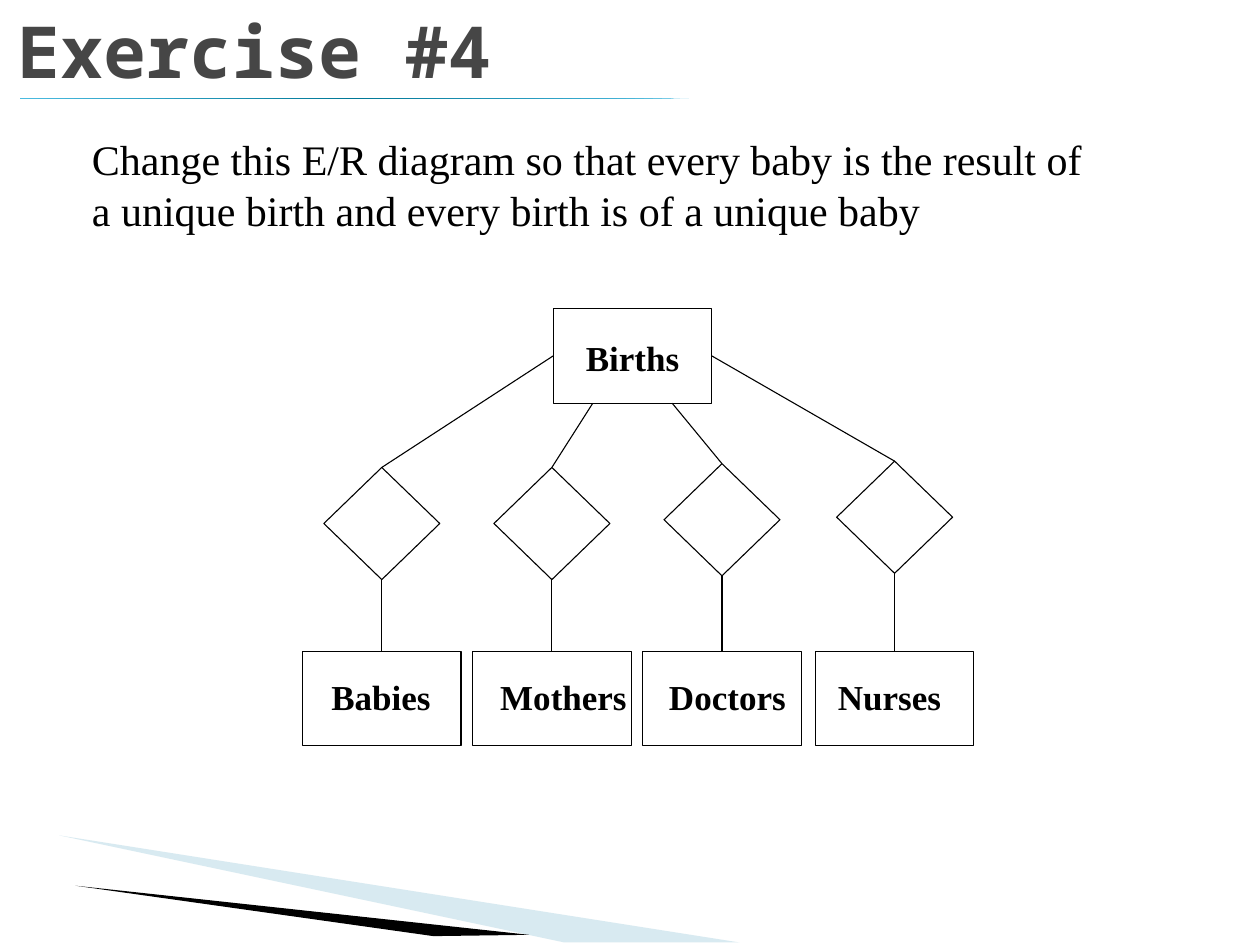
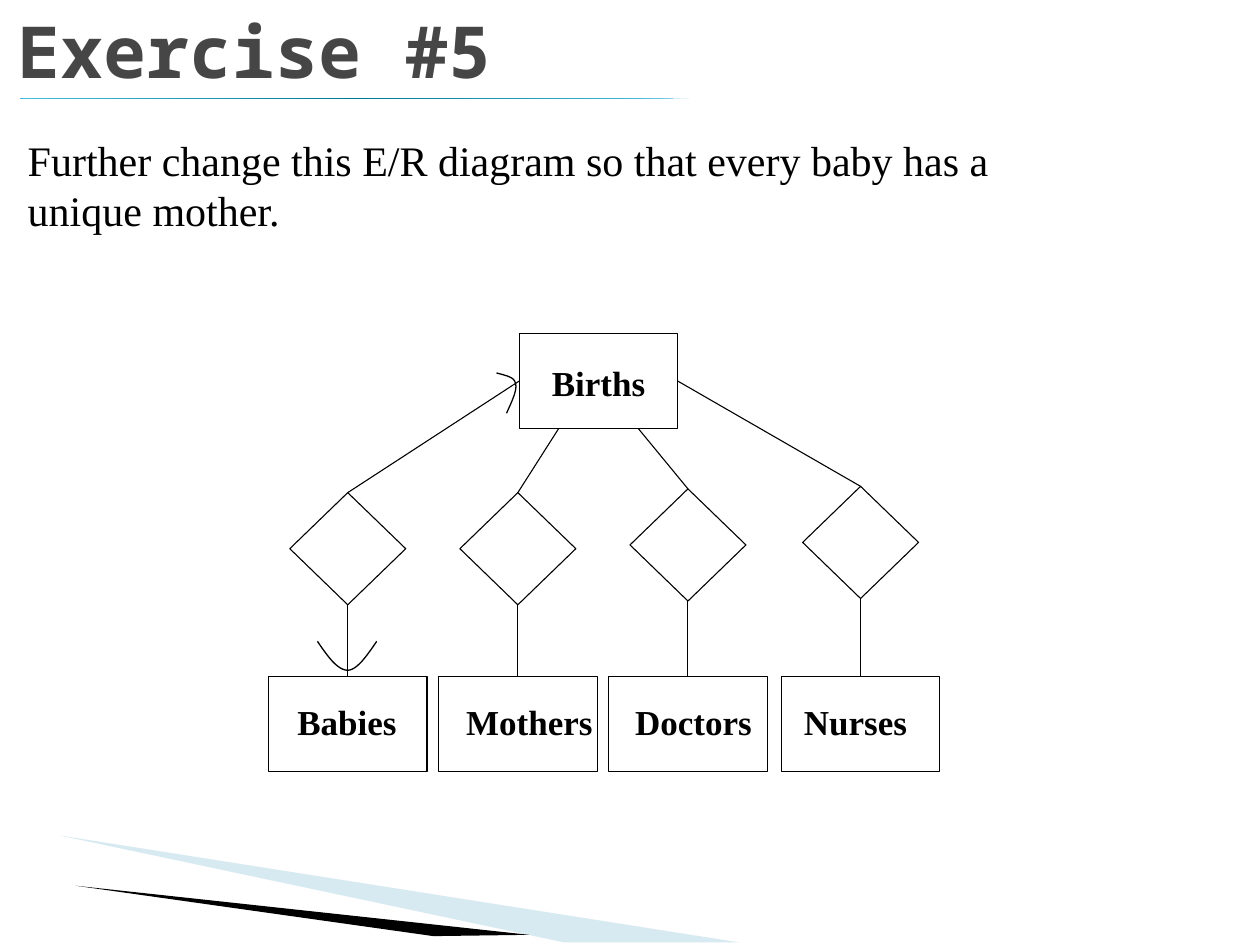
from dataclasses import dataclass
from typing import Optional

from lxml import etree
from pptx import Presentation
from pptx.dml.color import RGBColor
from pptx.enum.shapes import MSO_CONNECTOR, MSO_SHAPE
from pptx.enum.text import MSO_ANCHOR, MSO_AUTO_SIZE, PP_ALIGN
from pptx.oxml.ns import qn
from pptx.util import Inches, Pt

RECTANGLE, DIAMOND = MSO_SHAPE.RECTANGLE, MSO_SHAPE.DIAMOND
RIGHT_TRIANGLE = MSO_SHAPE.RIGHT_TRIANGLE
STRAIGHT = MSO_CONNECTOR.STRAIGHT
TOP, LEFT, BOTTOM, RIGHT = range(4)

Point = tuple[float, float]


@dataclass(frozen=True)
class Theme:
    title_font: str = "Noto Sans Mono"
    text_font: str = "Times New Roman"
    title_size: Pt = Pt(41)
    body_size: Pt = Pt(24)
    label_size: Pt = Pt(20)
    line_width: Pt = Pt(0.62)
    arc_width: Pt = Pt(0.75)
    title_color: RGBColor = RGBColor(0x46, 0x46, 0x46)
    ink: RGBColor = RGBColor(0, 0, 0)
    paper: RGBColor = RGBColor(0xFF, 0xFF, 0xFF)
    pale_band: RGBColor = RGBColor(0x9F, 0xCB, 0xDC)
    rule_stops: tuple = ((0, "4ABBE0"), (50, "007897"), (100, "4ABBE0"))


@dataclass(frozen=True)
class Entity:
    """A labelled box; its place is relative to the diagram's origin."""
    name: str
    left: float
    top: float
    label_left: float
    label_top: float
    label_width: float


@dataclass(frozen=True)
class Branch:
    """An entity tied to Births by a relationship diamond."""
    entity: Entity
    diamond_top: float
    births_side: Optional[int] = None
    births_fraction: float = 0


@dataclass(frozen=True)
class Exercise:
    title: str
    lines: tuple[str, ...]
    body_box: tuple[float, float, float, float]
    origin: Point
    arcs: tuple[tuple[Point, ...], ...] = ()


THEME = Theme()
BOX_WIDTH, BOX_HEIGHT = 1.26, 0.75
DIAMOND_WIDTH, DIAMOND_HEIGHT = 0.92, 0.89
LABEL_HEIGHT = 0.33
ROW_TOP, ROW_LABEL = 2.72, 0.19

BIRTHS = Entity("Births", 1.99, 0, 0.26, 0.22, 0.8)
BRANCHES = (
    Branch(Entity("Babies", 0, ROW_TOP, 0.23, ROW_LABEL, 0.83), 1.26, births_side=LEFT),
    Branch(Entity("Mothers", 1.35, ROW_TOP, 0.22, ROW_LABEL, 1.04), 1.26, births_fraction=0.25),
    Branch(Entity("Doctors", 2.7, ROW_TOP, 0.21, ROW_LABEL, 0.97), 1.23, births_fraction=0.75),
    Branch(Entity("Nurses", 4.07, ROW_TOP, 0.18, ROW_LABEL, 0.86), 1.21, births_side=RIGHT),
)

EXERCISES = (
    Exercise(
        "Exercise #4",
        ("Change this E/R diagram so that every baby is the result of",
         "a unique birth and every birth is of a unique baby"),
        (0.63, 1.09, 8.74, 0.74),
        (2.4, 2.45),
    ),
    Exercise(
        "Exercise #5",
        ("Further change this E/R diagram so that every baby has a",
         "unique mother."),
        (0.12, 0.52, 8.74, 1.89),
        (2.13, 2.65),
        arcs=(
            ((3.94, 2.96), (4.01, 2.98), (4.08, 2.99), (4.09, 3.04),
             (4.11, 3.09), (4.06, 3.19), (4.02, 3.28)),
            ((2.52, 5.09), (2.6, 5.21), (2.68, 5.32), (2.76, 5.32),
             (2.83, 5.32), (2.91, 5.21), (2.99, 5.09)),
        ),
    ),
)


def place(shape, left: float, top: float, width: float, height: float) -> None:
    shape.left, shape.top = Inches(left), Inches(top)
    shape.width, shape.height = Inches(width), Inches(height)


def set_font(paragraph, name: str, size: Pt, color: RGBColor, bold: bool = False) -> None:
    font = paragraph.font
    font.name, font.size, font.bold = name, size, bold
    font.color.rgb = color


def add_outline(slide, points: list[Point], close: bool):
    """Draw straight segments through points given in inches."""
    corners = [(Inches(x), Inches(y)) for x, y in points]
    builder = slide.shapes.build_freeform(*corners[0])
    builder.add_line_segments(corners[1:], close=close)
    shape = builder.convert_to_shape()
    shape.shadow.inherit = False
    return shape


def add_band(slide, points: list[Point], color: RGBColor, opacity: int = 100) -> None:
    band = add_outline(slide, points, close=True)
    band.fill.solid()
    band.fill.fore_color.rgb = color
    band.line.fill.background()
    if opacity < 100:
        color_element = band._element.spPr.find(f"{qn('a:solidFill')}/{qn('a:srgbClr')}")
        etree.SubElement(color_element, qn("a:alpha"), val=str(opacity * 1000))


def add_title_rule(slide) -> None:
    rule = slide.shapes.add_shape(
        RIGHT_TRIANGLE, Inches(0.16), Inches(0.78), Inches(5.31), Inches(0.01))
    rule.shadow.inherit = False
    rule.line.fill.background()
    rule.fill.gradient()
    rule.fill.gradient_angle = 0
    properties = rule._element.spPr
    properties.find(qn("a:xfrm")).set("flipV", "1")
    stop_list = properties.find(f"{qn('a:gradFill')}/{qn('a:gsLst')}")
    stop_list.clear()
    for position, color in THEME.rule_stops:
        stop = etree.SubElement(stop_list, qn("a:gs"), pos=str(position * 1000))
        etree.SubElement(stop, qn("a:srgbClr"), val=color)


def add_decoration(slide) -> None:
    add_band(slide, [(0.47, 6.63), (5.87, 7.48), (4.48, 7.48)], THEME.pale_band, 40)
    add_band(slide, [(0.6, 7.03), (4.2, 7.42), (3.44, 7.43)], THEME.ink)
    add_title_rule(slide)


def fill_title(slide, text: str) -> None:
    title = slide.shapes.title
    place(title, 0.04, 0, 8.52, 0.79)
    frame = title.text_frame
    frame.text = text
    frame.auto_size = MSO_AUTO_SIZE.NONE
    frame.vertical_anchor = MSO_ANCHOR.BOTTOM
    paragraph = frame.paragraphs[0]
    paragraph.alignment = PP_ALIGN.LEFT
    set_font(paragraph, THEME.title_font, THEME.title_size, THEME.title_color, bold=True)


def fill_body(slide, exercise: Exercise) -> None:
    body = slide.placeholders[1]
    place(body, *exercise.body_box)
    frame = body.text_frame
    frame.text = "\n".join(exercise.lines)
    frame.auto_size = MSO_AUTO_SIZE.NONE
    frame.vertical_anchor = MSO_ANCHOR.MIDDLE
    for paragraph in frame.paragraphs:
        properties = paragraph._p.get_or_add_pPr()
        properties.set("marL", "0")
        properties.set("indent", "0")
        etree.SubElement(properties, qn("a:buNone"))
        paragraph.space_before = Pt(0)
        set_font(paragraph, THEME.text_font, THEME.body_size, THEME.ink)


def add_node(slide, kind: MSO_SHAPE, left: float, top: float, width: float, height: float):
    node = slide.shapes.add_shape(
        kind, Inches(left), Inches(top), Inches(width), Inches(height))
    node.shadow.inherit = False
    node.fill.solid()
    node.fill.fore_color.rgb = THEME.paper
    node.line.color.rgb = THEME.ink
    node.line.width = THEME.line_width
    return node


def add_entity(slide, entity: Entity, origin: Point):
    left, top = origin[0] + entity.left, origin[1] + entity.top
    box = add_node(slide, RECTANGLE, left, top, BOX_WIDTH, BOX_HEIGHT)
    label = slide.shapes.add_textbox(
        Inches(left + entity.label_left), Inches(top + entity.label_top),
        Inches(entity.label_width), Inches(LABEL_HEIGHT))
    frame = label.text_frame
    frame.margin_left = frame.margin_right = frame.margin_top = frame.margin_bottom = 0
    frame.word_wrap = True
    frame.auto_size = MSO_AUTO_SIZE.NONE
    frame.text = entity.name
    set_font(frame.paragraphs[0], THEME.text_font, THEME.label_size, THEME.ink, bold=True)
    return box


def add_link(slide, start, start_side: int, end, end_side: Optional[int],
             bottom_fraction: float = 0) -> None:
    """Join two shapes; with no end side, stop partway along the end's bottom edge."""
    end_x = end.left + round(end.width * bottom_fraction)
    link = slide.shapes.add_connector(
        STRAIGHT, start.left, start.top, end_x, end.top + end.height)
    link.begin_connect(start, start_side)
    if end_side is not None:
        link.end_connect(end, end_side)
    link.line.color.rgb = THEME.ink
    link.line.width = THEME.line_width
    etree.SubElement(link._element.spPr, qn("a:effectLst"))


def add_diagram(slide, origin: Point) -> None:
    births = add_entity(slide, BIRTHS, origin)
    for branch in BRANCHES:
        box = add_entity(slide, branch.entity, origin)
        diamond_left = origin[0] + branch.entity.left + (BOX_WIDTH - DIAMOND_WIDTH) / 2
        diamond = add_node(slide, DIAMOND, diamond_left, origin[1] + branch.diamond_top,
                           DIAMOND_WIDTH, DIAMOND_HEIGHT)
        add_link(slide, diamond, BOTTOM, box, TOP)
        add_link(slide, diamond, TOP, births, branch.births_side, branch.births_fraction)


def curve_points(controls: tuple[Point, ...], steps: int = 12) -> list[Point]:
    """Sample a chain of cubic Bezier segments."""
    points = [controls[0]]
    for first in range(0, len(controls) - 1, 3):
        segment = controls[first:first + 4]
        for step in range(1, steps + 1):
            t = step / steps
            weights = ((1 - t) ** 3, 3 * t * (1 - t) ** 2, 3 * t ** 2 * (1 - t), t ** 3)
            points.append((sum(w * x for w, (x, _) in zip(weights, segment)),
                           sum(w * y for w, (_, y) in zip(weights, segment))))
    return points


def add_arc(slide, controls: tuple[Point, ...]) -> None:
    arc = add_outline(slide, curve_points(controls), close=False)
    arc.fill.background()
    arc.line.color.rgb = THEME.ink
    arc.line.width = THEME.arc_width


def add_exercise(presentation, exercise: Exercise) -> None:
    slide = presentation.slides.add_slide(presentation.slide_layouts[1])
    add_decoration(slide)
    fill_title(slide, exercise.title)
    fill_body(slide, exercise)
    add_diagram(slide, exercise.origin)
    for controls in exercise.arcs:
        add_arc(slide, controls)


def main() -> None:
    presentation = Presentation()
    presentation.slide_width, presentation.slide_height = Inches(10), Inches(7.5)
    for exercise in EXERCISES:
        add_exercise(presentation, exercise)
    presentation.save("out.pptx")


if __name__ == "__main__":
    main()
